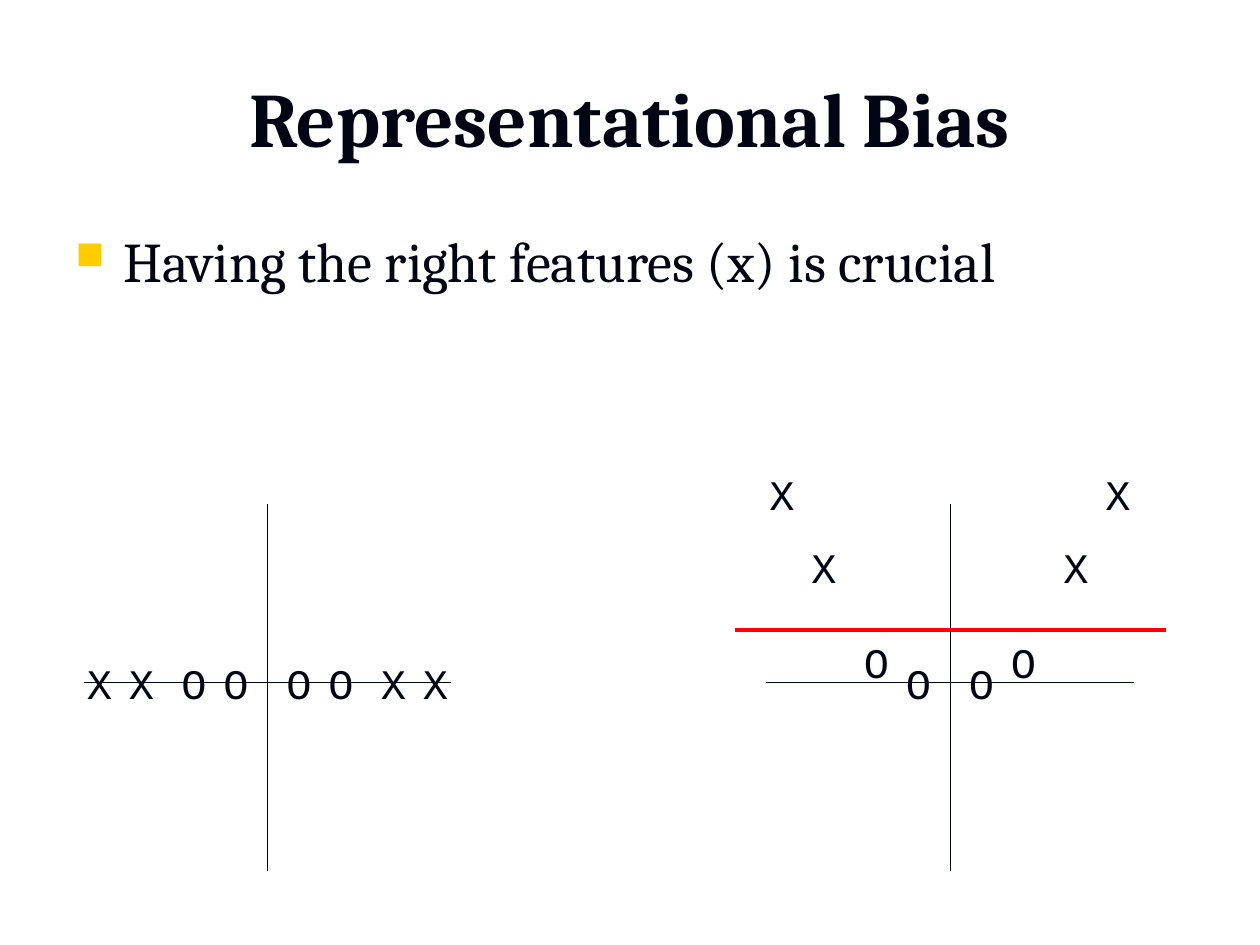
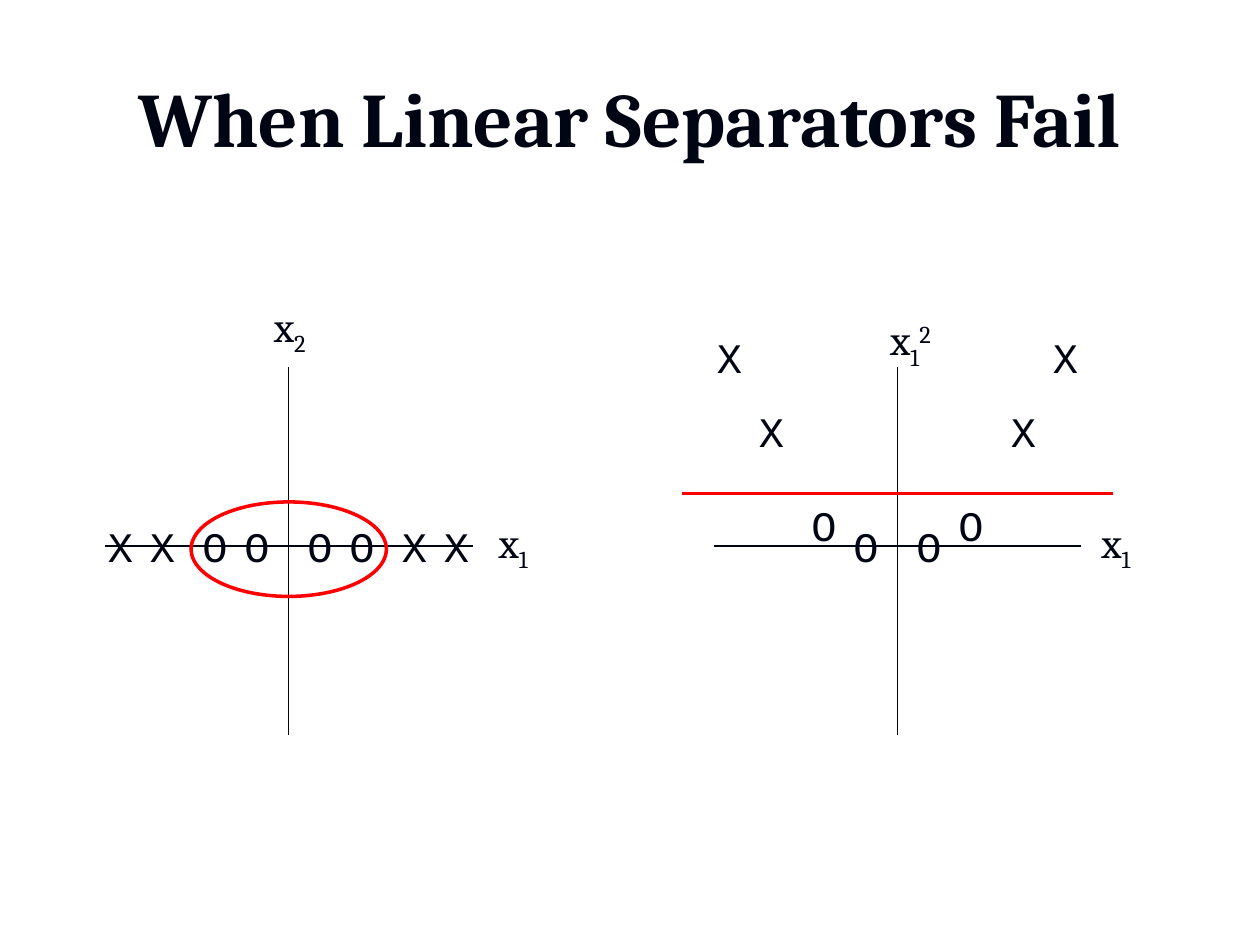
from dataclasses import dataclass

from lxml import etree
from pptx import Presentation
from pptx.dml.color import RGBColor
from pptx.enum.shapes import MSO_CONNECTOR, MSO_SHAPE
from pptx.enum.text import MSO_ANCHOR, MSO_AUTO_SIZE, PP_ALIGN
from pptx.oxml.ns import qn
from pptx.util import Inches, Pt

STRAIGHT = MSO_CONNECTOR.STRAIGHT
OVAL = MSO_SHAPE.OVAL
TOP, MIDDLE = MSO_ANCHOR.TOP, MSO_ANCHOR.MIDDLE
LEFT, CENTER = PP_ALIGN.LEFT, PP_ALIGN.CENTER
GROW = MSO_AUTO_SIZE.SHAPE_TO_FIT_TEXT

INK = RGBColor(0x00, 0x05, 0x14)
GOLD = RGBColor(0xFF, 0xCC, 0x00)
RED = RGBColor(0xFF, 0x00, 0x00)
SERIF, MONO = "Cambria", "Courier New"

SLIDE_WIDTH, SLIDE_HEIGHT = Inches(10), Inches(7.5)
COLUMN = SLIDE_WIDTH / 120
ROW = SLIDE_HEIGHT / 90

AXIS_REACH, AXIS_ABOVE, AXIS_BELOW = 17.5, 17, 18
SEPARATOR_REACH, SEPARATOR_RISE = 20.5, 5
MARK_WIDTH, MARK_HEIGHT = 4.8, 6
LABEL_HEIGHT = 6.7
SUBSCRIPT, SUPERSCRIPT = -25000, 30000


@dataclass(frozen=True)
class Mark:
    letter: str
    distance: float
    lifted: float


@dataclass(frozen=True)
class AxisLabel:
    across: float
    down: float
    width: float
    subscript: str
    superscript: str = ""


@dataclass(frozen=True)
class Plot:
    column: float
    row: float
    lifted: bool = False
    circled: bool = False
    labels: tuple[AxisLabel, ...] = ()


@dataclass(frozen=True)
class Page:
    title: str
    plots: tuple[Plot, ...]
    bullet: str = ""


MARKS = (Mark("O", 3, 0), Mark("O", 7, 2), Mark("X", 12, 11), Mark("X", 16, 18))

PAGES = (
    Page(
        "Representational Bias",
        (Plot(25.5, 65), Plot(90.5, 65, lifted=True)),
        bullet="Having the right features (x) is crucial",
    ),
    Page(
        "When Linear Separators Fail",
        (
            Plot(27.5, 52, circled=True, labels=(
                AxisLabel(18.8, -3.4, 5.6, "1"), AxisLabel(-2.6, -24, 5.6, "2"))),
            Plot(85.5, 52, lifted=True, labels=(
                AxisLabel(18.2, -3.4, 5.6, "1"), AxisLabel(-1.9, -22.7, 6.7, "1", "2"))),
        ),
    ),
)


def place(left: float, top: float, width: float, height: float) -> tuple[int, ...]:
    return (round(left * COLUMN), round(top * ROW),
            round(width * COLUMN), round(height * ROW))


def add_span(para, text: str, *, size: float, font: str = SERIF,
             bold: bool = False, baseline: int = 0) -> None:
    span = para.add_run()
    span.text = text
    span.font.size = Pt(size)
    span.font.name = font
    span.font.bold = bold
    span.font.color.rgb = INK
    if baseline:
        span._r.get_or_add_rPr().set("baseline", str(baseline))


def add_text(page, area: tuple[int, ...], text: str, *, size: float = 24,
             font: str = SERIF, bold: bool = False, align=LEFT, anchor=TOP,
             wrap: bool = False):
    frame = page.shapes.add_textbox(*area).text_frame
    frame.word_wrap = wrap
    frame.vertical_anchor = anchor
    if not wrap:
        frame.auto_size = GROW
    para = frame.paragraphs[0]
    para.alignment = align
    add_span(para, text, size=size, font=font, bold=bold)
    return para


def add_bullet(para) -> None:
    para.space_before = Pt(8)
    properties = para._p.get_or_add_pPr()
    properties.set("marL", str(Inches(0.38)))
    properties.set("indent", str(-Inches(0.38)))
    color = etree.SubElement(properties, qn("a:buClr"))
    etree.SubElement(color, qn("a:srgbClr"), val=str(GOLD))
    etree.SubElement(properties, qn("a:buSzPct"), val="70000")
    etree.SubElement(properties, qn("a:buChar"), char="■")


def add_line(page, start: tuple[float, float], end: tuple[float, float], *,
             color: RGBColor = INK, weight: float = 0.75) -> None:
    line = page.shapes.add_connector(STRAIGHT, *place(*start, *end))
    line.line.color.rgb = color
    line.line.width = Pt(weight)
    etree.SubElement(line._element.spPr, qn("a:effectLst"))


def draw_circle(page, plot: Plot) -> None:
    width, height = 18.6, 9
    circle = page.shapes.add_shape(
        OVAL, *place(plot.column - width / 2, plot.row + 0.3 - height / 2, width, height))
    circle.shadow.inherit = False
    circle.fill.background()
    circle.line.color.rgb = RED
    circle.line.width = Pt(2)


def draw_label(page, plot: Plot, label: AxisLabel) -> None:
    area = place(plot.column + label.across, plot.row + label.down,
                 label.width, LABEL_HEIGHT)
    para = add_text(page, area, "x")
    add_span(para, label.subscript, size=24, baseline=SUBSCRIPT)
    if label.superscript:
        add_span(para, label.superscript, size=24, baseline=SUPERSCRIPT)


def draw_plot(page, plot: Plot) -> None:
    column, row = plot.column, plot.row
    add_line(page, (column, row - AXIS_ABOVE), (column, row + AXIS_BELOW))
    add_line(page, (column + AXIS_REACH, row), (column - AXIS_REACH, row))
    for mark in MARKS:
        rise = mark.lifted if plot.lifted else 0
        for side in (-1, 1):
            area = place(column + side * mark.distance - MARK_WIDTH / 2,
                         row - rise - MARK_HEIGHT / 2, MARK_WIDTH, MARK_HEIGHT)
            add_text(page, area, mark.letter, font=MONO)
    if plot.lifted:
        height = row - SEPARATOR_RISE
        add_line(page, (column - SEPARATOR_REACH, height),
                 (column + SEPARATOR_REACH, height), color=RED, weight=2)
    for label in plot.labels:
        draw_label(page, plot, label)
    if plot.circled:
        draw_circle(page, plot)


def draw_page(deck, content: Page) -> None:
    page = deck.slides.add_slide(deck.slide_layouts[6])
    add_text(page, place(6, 3.6, 108, 15), content.title, size=44, bold=True,
             align=CENTER, anchor=MIDDLE, wrap=True)
    if content.bullet:
        add_bullet(add_text(page, place(6, 21, 108, 17), content.bullet,
                            size=32, wrap=True))
    for plot in content.plots:
        draw_plot(page, plot)


def main() -> None:
    deck = Presentation()
    deck.slide_width, deck.slide_height = SLIDE_WIDTH, SLIDE_HEIGHT
    for content in PAGES:
        draw_page(deck, content)
    deck.save("out.pptx")


if __name__ == "__main__":
    main()
